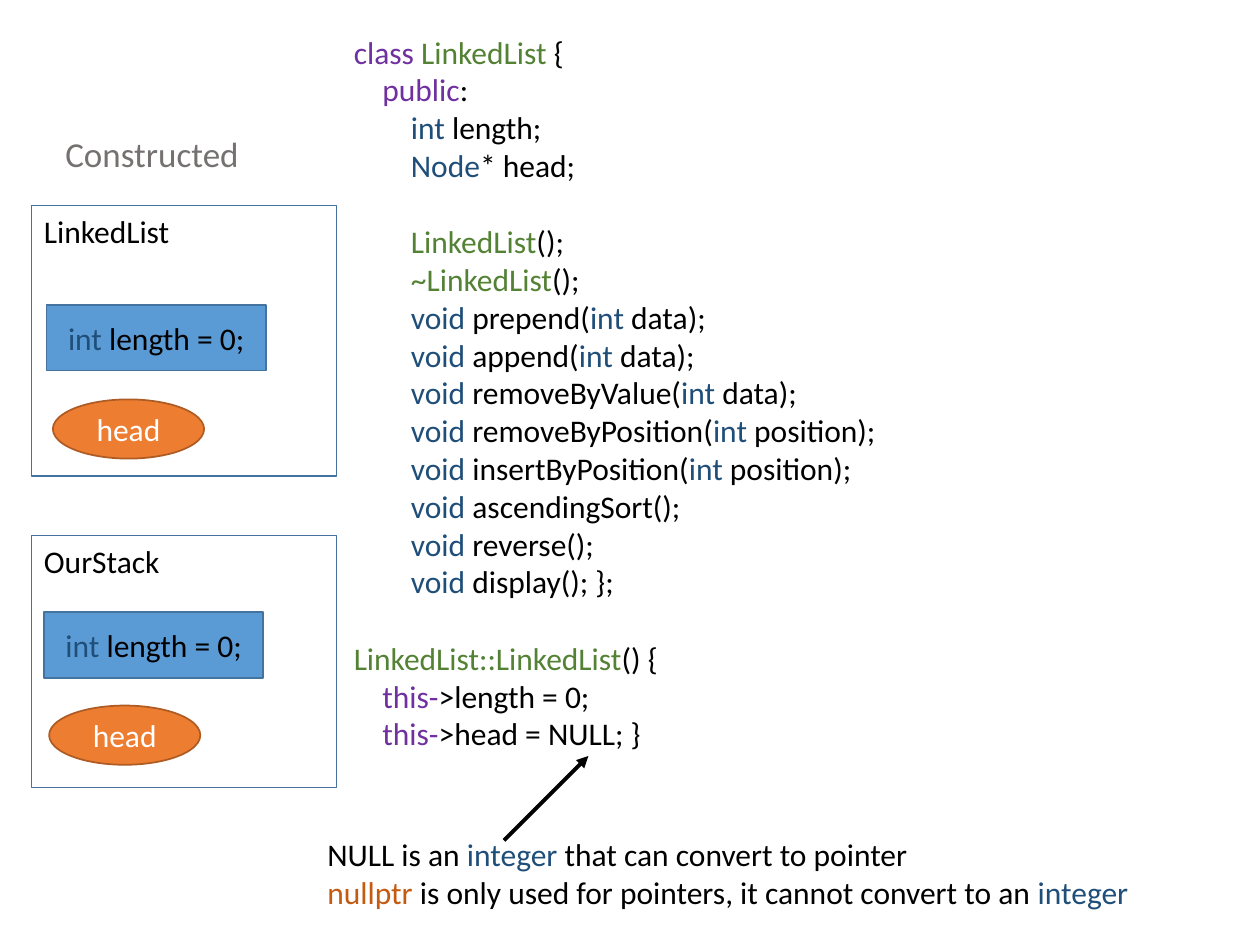
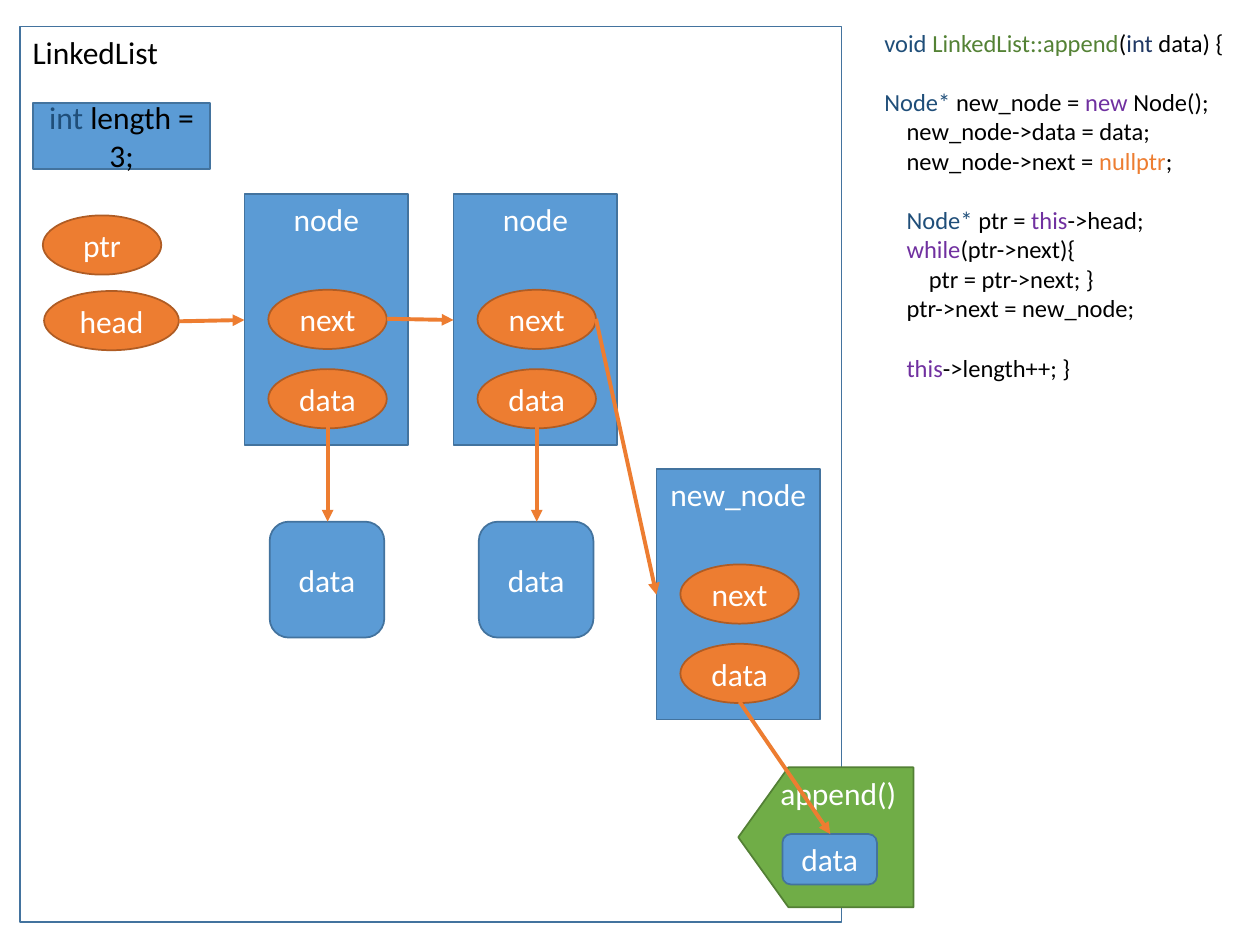
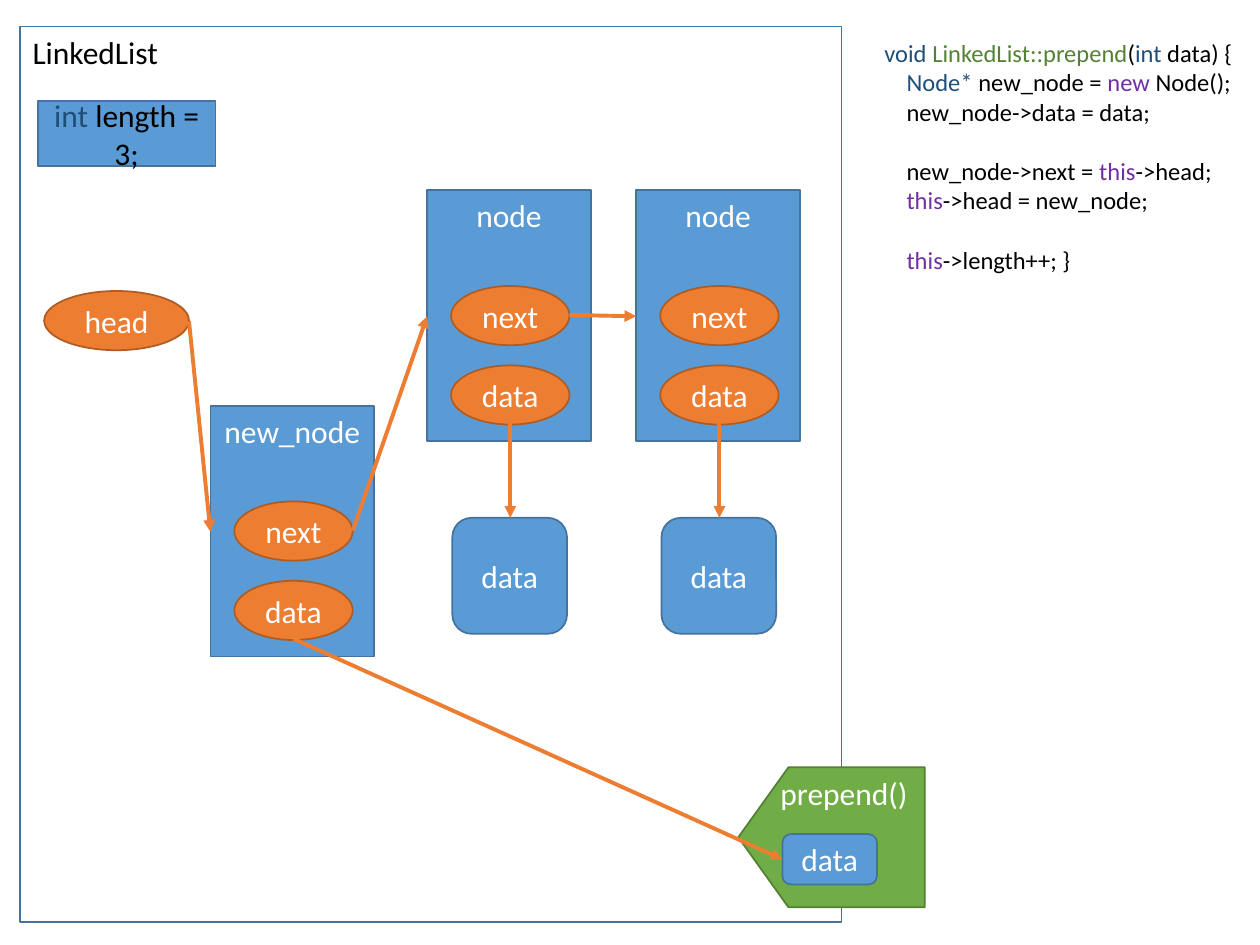
from lxml import etree
from pptx import Presentation
from pptx.dml.color import RGBColor
from pptx.enum.shapes import MSO_CONNECTOR as CONNECTOR, MSO_SHAPE as SHAPE
from pptx.enum.text import MSO_ANCHOR as ANCHOR, MSO_AUTO_SIZE as AUTO_SIZE, PP_ALIGN as ALIGN
from pptx.oxml.ns import qn
from pptx.util import Inches, Pt

BLACK = RGBColor(0x00, 0x00, 0x00)
WHITE = RGBColor(0xFF, 0xFF, 0xFF)
GREY = RGBColor(0x76, 0x71, 0x71)
BLUE = RGBColor(0x5B, 0x9B, 0xD5)
BLUE_EDGE = RGBColor(0x43, 0x73, 0x9E)
ORANGE = RGBColor(0xED, 0x7D, 0x31)
ORANGE_EDGE = RGBColor(0xAF, 0x5C, 0x24)
GREEN = RGBColor(0x70, 0xAD, 0x47)
GREEN_EDGE = RGBColor(0x53, 0x80, 0x35)

INK = {
    "plain": BLACK,
    "white": WHITE,
    "grey": GREY,
    "keyword": RGBColor(0x70, 0x30, 0xA0),
    "type": RGBColor(0x1F, 0x4E, 0x79),
    "navy": RGBColor(0x20, 0x38, 0x64),
    "name": RGBColor(0x54, 0x82, 0x35),
    "null": ORANGE,
    "rust": RGBColor(0xC5, 0x5A, 0x11),
}

FONT = "Calibri"
INDENT_PER_POINT = 0.0126
LINE_HEIGHT = 1.22

CENTRED = {"word_wrap": True, "vertical_anchor": ANCHOR.MIDDLE}
TOP = {"word_wrap": True, "vertical_anchor": ANCHOR.TOP}
LOOSE = {"word_wrap": False, "auto_size": AUTO_SIZE.SHAPE_TO_FIT_TEXT}

LOOKS = {
    "text": (None, None, None, ALIGN.LEFT, LOOSE),
    "frame": (SHAPE.RECTANGLE, None, BLUE_EDGE, ALIGN.LEFT, TOP),
    "field": (SHAPE.RECTANGLE, BLUE, BLUE_EDGE, ALIGN.CENTER, CENTRED),
    "node": (SHAPE.RECTANGLE, BLUE, BLUE_EDGE, ALIGN.CENTER, TOP),
    "data": (SHAPE.ROUNDED_RECTANGLE, BLUE, BLUE_EDGE, ALIGN.CENTER, CENTRED),
    "pointer": (SHAPE.OVAL, ORANGE, ORANGE_EDGE, ALIGN.CENTER, CENTRED),
    "call": (SHAPE.PENTAGON, GREEN, GREEN_EDGE, ALIGN.CENTER, TOP),
}


def add_box(page, look, at, lines, size=18):
    kind, fill, edge, align, frame_format = LOOKS[look]
    place = [Inches(length) for length in at]
    if kind is None:
        box = page.shapes.add_textbox(*place)
    else:
        box = page.shapes.add_shape(kind, *place)
        box.shadow.inherit = False
        box.line.color.rgb = edge
        box.line.width = Pt(1)
        if fill is None:
            box.fill.background()
        else:
            box.fill.solid()
            box.fill.fore_color.rgb = fill
    frame = box.text_frame
    for name, value in frame_format.items():
        setattr(frame, name, value)
    for number, (indent, blank_above, markup) in enumerate(lines):
        para = frame.add_paragraph() if number else frame.paragraphs[0]
        para.alignment = align
        if indent:
            margin = Inches(indent * size * INDENT_PER_POINT)
            para._p.get_or_add_pPr().set("marL", str(margin))
        if blank_above:
            para.space_before = Pt(round(size * LINE_HEIGHT, 1))
        parts = markup.split("|")
        for ink, words in zip(parts[::2], parts[1::2]):
            span = para.add_run()
            span.text = words
            for name, value in {"name": FONT, "size": Pt(size)}.items():
                setattr(span.font, name, value)
            span.font.color.rgb = INK[ink]
    return box


def add_arrow(page, start, end, colour=ORANGE):
    ends = [Inches(length) for length in (*start, *end)]
    arrow = page.shapes.add_connector(CONNECTOR.STRAIGHT, *ends)
    arrow.line.color.rgb = colour
    arrow.line.width = Pt(2.25)
    etree.SubElement(arrow.line._get_or_add_ln(), qn("a:tailEnd"), type="triangle")
    etree.SubElement(arrow._element.spPr, qn("a:effectLst"))


deck = Presentation()
deck.slide_width = Inches(10)
deck.slide_height = Inches(7.5)
blank = deck.slide_layouts[6]

CLASS_CODE = [
    (0, False, "keyword|class |name|LinkedList |plain|{"),
    (1, False, "keyword|public|plain|:"),
    (2, False, "type|int|plain| length;"),
    (2, False, "type|Node|plain|* head;"),
    (2, True, "name|LinkedList|plain|();"),
    (2, False, "name|~LinkedList|plain|();"),
    (2, False, "type|void|plain| prepend(|type|int|plain| data);"),
    (2, False, "type|void|plain| append(|type|int|plain| data);"),
    (2, False, "type|void |plain|removeByValue(|type|int|plain| data);"),
    (2, False, "type|void |plain|removeByPosition(|type|int|plain| position);"),
    (2, False, "type|void |plain|insertByPosition(|type|int|plain| position);"),
    (2, False, "type|void |plain|ascendingSort();"),
    (2, False, "type|void|plain| reverse();"),
    (2, False, "type|void|plain| display(); };"),
    (0, True, "name|LinkedList::LinkedList|plain|() {"),
    (1, False, "keyword|this-|plain|>length = 0;"),
    (1, False, "keyword|this-|plain|>head = NULL; }"),
]
NULL_NOTE = [
    (0, False, "plain|NULL is an |type|integer|plain| that can convert to pointer"),
    (0, False, "rust|nullptr|plain| is only used for pointers, it cannot convert to an |type|integer"),
]

page = deck.slides.add_slide(blank)
add_box(page, "text", (0.42, 1, 1.59, 0.44), [(0, False, "grey|Constructed")], 20)
for title, top, height, field_at, head_at in [
    ("LinkedList", 1.63, 2.15, (0.37, 2.42), (0.42, 3.17)),
    ("OurStack", 4.25, 2, (0.35, 4.86), (0.39, 5.6)),
]:
    add_box(page, "frame", (0.25, top, 2.42, height), [(0, False, f"plain|{title}")])
    add_box(page, "field", (*field_at, 1.74, 0.52), [(0, False, "type|int|plain| length = 0;")])
    add_box(page, "pointer", (*head_at, 1.2, 0.47), [(0, False, "white|head")])
add_box(page, "text", (2.71, 0.21, 4.4, 5.86), CLASS_CODE)
add_box(page, "text", (2.5, 6.58, 6.63, 0.71), NULL_NOTE)
add_arrow(page, (4, 6.67), (4.67, 6), BLACK)

APPEND_CODE = [
    (0, False, "type|void |name|LinkedList::append|plain|(|navy|int|plain| data) {"),
    (0, True, "type|Node* |plain|new_node = |keyword|new|plain| Node();"),
    (1, False, "plain|new_node->data = data;"),
    (1, False, "plain|new_node->next = |null|nullptr|plain|;"),
    (1, True, "type|Node* |plain|ptr = |keyword|this|plain|->head;"),
    (1, False, "keyword|while|plain|(ptr->next){"),
    (2, False, "plain|ptr = ptr->next; }"),
    (1, False, "plain|ptr->next = new_node;"),
    (1, True, "keyword|this|plain|->length++; }"),
]
PREPEND_CODE = [
    (0, False, "type|void |name|LinkedList::prepend|plain|(|type|int|plain| data) {"),
    (1, False, "type|Node* |plain|new_node = |keyword|new|plain| Node();"),
    (1, False, "plain|new_node->data = data;"),
    (1, True, "plain|new_node->next = |keyword|this|plain|->head;"),
    (1, False, "keyword|this|plain|->head = new_node;"),
    (1, True, "keyword|this|plain|->length++; }"),
]
OPERATIONS = [
    {
        "call": "append()", "call_width": 1.39,
        "code": APPEND_CODE, "code_at": (6.92, 0.17, 2.92, 2.93),
        "field_at": (0.26, 0.82), "first_node": (1.94, 1.54), "new_node": (5.21, 3.72),
        "pointers": [("ptr", (0.34, 1.71, 0.94, 0.47)), ("head", (0.35, 2.31, 1.07, 0.47))],
        "arrows": [
            ((1.42, 2.55), (1.94, 2.54)),
            ((4.73, 2.53), (5.21, 4.72)),
            ((5.87, 5.57), (6.59, 6.62)),
        ],
    },
    {
        "call": "prepend()", "call_width": 1.48,
        "code": PREPEND_CODE, "code_at": (6.92, 0.25, 2.99, 1.99),
        "field_at": (0.3, 0.8), "first_node": (3.39, 1.51), "new_node": (1.67, 3.22),
        "pointers": [("head", (0.35, 2.31, 1.15, 0.47))],
        "arrows": [
            ((1.5, 2.55), (1.67, 4.22)),
            ((2.8, 4.21), (3.39, 2.51)),
            ((2.33, 5.07), (6.21, 6.82)),
        ],
    },
]
NODE_STEP = 1.66

for operation in OPERATIONS:
    page = deck.slides.add_slide(blank)
    add_box(page, "frame", (0.16, 0.21, 6.52, 7.11), [(0, False, "plain|LinkedList")])
    add_box(page, "text", operation["code_at"], operation["code"], 14)
    add_box(page, "field", (*operation["field_at"], 1.41, 0.52),
            [(0, False, "type|int|plain| length = 3;")])
    for label, at in operation["pointers"]:
        add_box(page, "pointer", at, [(0, False, f"white|{label}")])

    first_left, first_top = operation["first_node"]
    nodes = [
        ("node", first_left, first_top),
        ("node", first_left + NODE_STEP, first_top),
        ("new_node", *operation["new_node"]),
    ]
    for title, left, top in nodes:
        add_box(page, "node", (left, top, 1.3, 1.99), [(0, False, f"white|{title}")])
        for label, drop in [("next", 0.76), ("data", 1.39)]:
            add_box(page, "pointer", (left + 0.19, top + drop, 0.94, 0.47),
                    [(0, False, f"white|{label}")])
        if title == "node":
            add_box(page, "data", (left + 0.2, top + 2.6, 0.91, 0.92), [(0, False, "white|data")])
            add_arrow(page, (left + 0.66, top + 1.85), (left + 0.66, top + 2.6))
    add_arrow(page, (first_left + 1.13, first_top + 0.99),
              (first_left + NODE_STEP, first_top + 1))

    call = add_box(page, "call", (5.86, 6.09, operation["call_width"], 1.11),
                   [(0, False, f"white|{operation['call']}")])
    call.adjustments[0] = 0.358
    call._element.spPr.get_or_add_xfrm().set("flipH", "1")
    add_box(page, "data", (6.21, 6.62, 0.75, 0.4), [(0, False, "white|data")])
    for start, end in operation["arrows"]:
        add_arrow(page, start, end)

deck.save("out.pptx")
